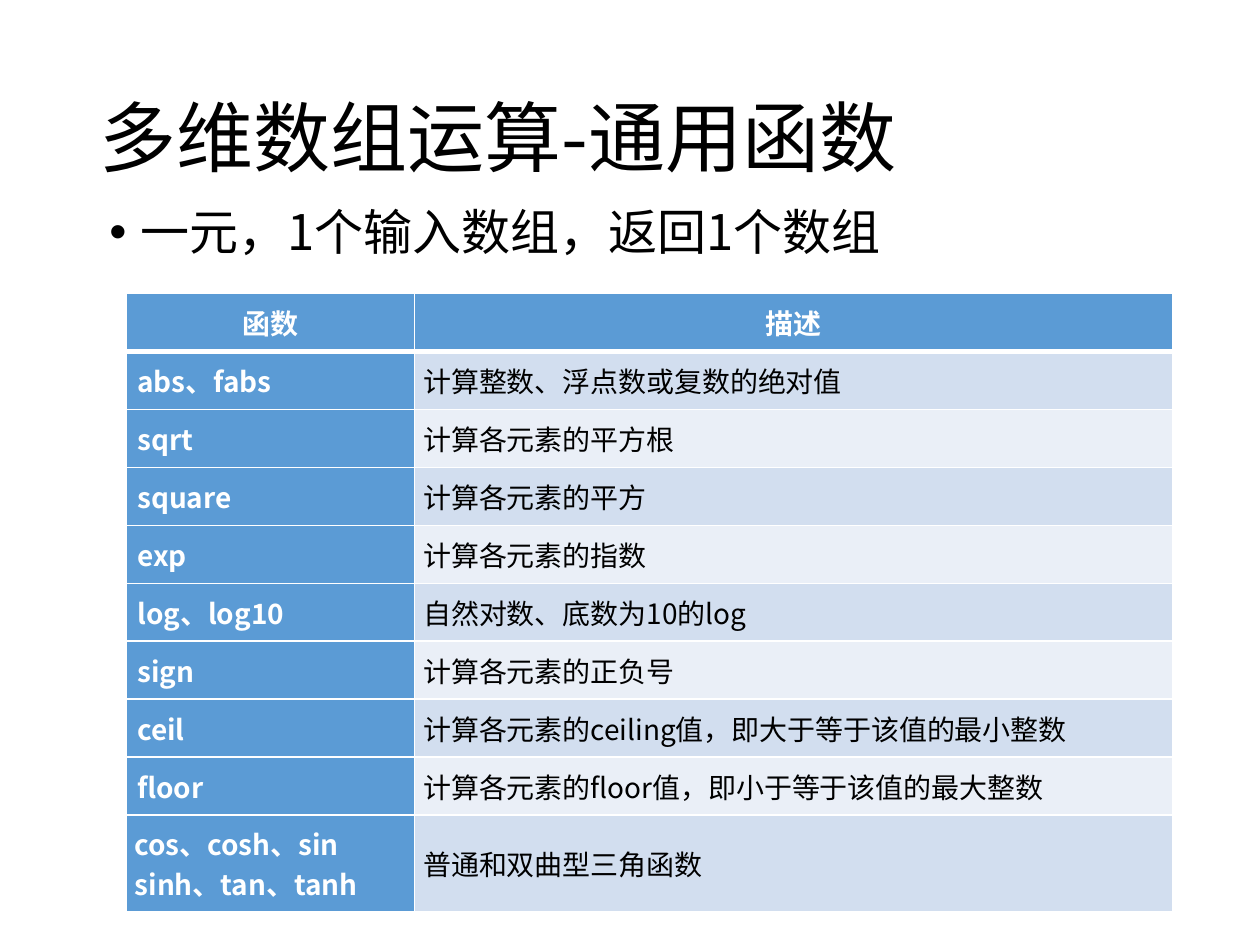
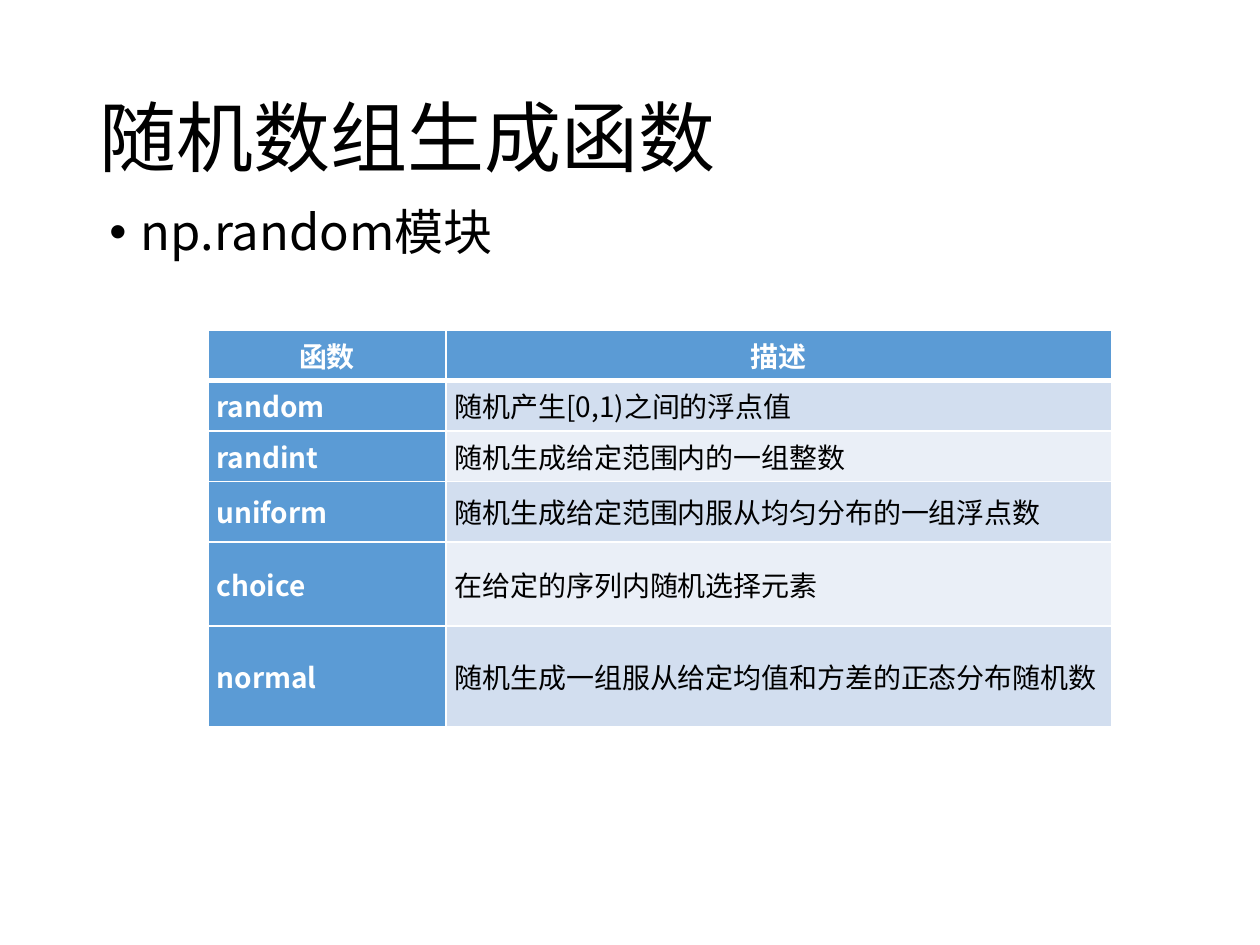
"""Build two slides that list array functions and random generators in tables."""
from dataclasses import dataclass

from lxml import etree
from pptx import Presentation
from pptx import util as u
from pptx.dml.color import RGBColor
from pptx.enum import text
from pptx.oxml import ns

EMU_PER_PX = 9144


@dataclass(frozen=True)
class Theme:
    """Colours, typeface and type sizes shared by the slides."""
    font: str = "Noto Sans CJK SC"
    ink: str = "000000"
    paper: str = "FFFFFF"
    accent: str = "5B9BD5"
    bands: tuple[str, str] = ("D2DEEF", "EAEFF7")
    title_size: int = 44
    topic_size: int = 28
    table_size: int = 16
    line_spacing: float = 0.9
    rule: int = 1
    header_rule: int = 3


@dataclass(frozen=True)
class Box:
    """A rectangle in px."""
    left: int
    top: int
    width: int
    height: int

    def emu(self) -> tuple[int, int, int, int]:
        """Return the rectangle in EMU."""
        return px(self.left), px(self.top), px(self.width), px(self.height)


@dataclass(frozen=True)
class FunctionTable:
    """A table of function names and descriptions."""
    left: int
    top: int
    columns: tuple[int, int]
    row_heights: tuple[int, ...]
    entries: tuple[tuple[str, str], ...]
    name_indent: int = 0


@dataclass(frozen=True)
class Lesson:
    """The content of one slide."""
    title: str
    topic: str
    topic_width: int
    functions: FunctionTable


THEME = Theme()
TITLE_BOX = Box(69, 40, 862, 145)
HEADINGS = ("函数", "描述")
CELL_INSET = 7
BULLET_INDENT = 25

LESSONS = (
    Lesson(
        "多维数组运算-通用函数", "一元，1个输入数组，返回1个数组", 757,
        FunctionTable(100, 233, (229, 602), (46,) * 9 + (77,), (
            ("abs、fabs", "计算整数、浮点数或复数的绝对值"),
            ("sqrt", "计算各元素的平方根"),
            ("square", "计算各元素的平方"),
            ("exp", "计算各元素的指数"),
            ("log、log10", "自然对数、底数为10的log"),
            ("sign", "计算各元素的正负号"),
            ("ceil", "计算各元素的ceiling值，即大于等于该值的最小整数"),
            ("floor", "计算各元素的floor值，即小于等于该值的最大整数"),
            ("cos、cosh、sin\nsinh、tan、tanh", "普通和双曲型三角函数"),
        ), name_indent=2)),
    Lesson(
        "随机数组生成函数", "np.random模块", 783,
        FunctionTable(165, 262, (189, 528), (40, 40, 40, 48, 67, 80), (
            ("random", "随机产生[0,1)之间的浮点值"),
            ("randint", "随机生成给定范围内的一组整数"),
            ("uniform", "随机生成给定范围内服从均匀分布的一组浮点数"),
            ("choice", "在给定的序列内随机选择元素"),
            ("normal", "随机生成一组服从给定均值和方差的正态分布随机数"),
        ))),
)


def px(length: int) -> int:
    """Convert px to EMU."""
    return length * EMU_PER_PX


def set_font(paragraph, size: int, color: str, bold: bool = False) -> None:
    """Set the paragraph font for Latin and East Asian text."""
    font = paragraph.font
    font.name = THEME.font
    font.size = u.Pt(size)
    font.bold = bold
    font.color.rgb = RGBColor.from_string(color)
    latin = paragraph._p.pPr.find(".//" + ns.qn("a:latin"))
    east_asian = etree.Element(ns.qn("a:ea"), typeface=THEME.font)
    latin.addnext(east_asian)


def add_line(slide, box: Box, wording: str, size: int, bullet: bool = False) -> None:
    """Add a one-paragraph text box, with a bullet if asked."""
    frame = slide.shapes.add_textbox(*box.emu()).text_frame
    frame.word_wrap = True
    frame.vertical_anchor = text.MSO_ANCHOR.TOP if bullet else text.MSO_ANCHOR.MIDDLE
    paragraph = frame.paragraphs[0]
    paragraph.text = wording
    paragraph.line_spacing = THEME.line_spacing
    if bullet:
        properties = paragraph._p.get_or_add_pPr()
        properties.set("marL", str(px(BULLET_INDENT)))
        properties.set("indent", str(-px(BULLET_INDENT)))
        etree.SubElement(properties, ns.qn("a:buFont"), typeface="Arial")
        etree.SubElement(properties, ns.qn("a:buChar"), char="•")
    set_font(paragraph, size, THEME.ink)


def set_borders(cell, top: int, bottom: int) -> None:
    """Rule all four sides of a cell, with widths in points."""
    properties = cell._tc.get_or_add_tcPr()
    widths = {"lnL": THEME.rule, "lnR": THEME.rule, "lnT": top, "lnB": bottom}
    for side, width in widths.items():
        line = etree.SubElement(properties, ns.qn(f"a:{side}"), w=str(u.Pt(width)))
        fill = etree.SubElement(line, ns.qn("a:solidFill"))
        etree.SubElement(fill, ns.qn("a:srgbClr"), val=THEME.paper)


def fill_cell(cell, wording: str, row: int, column: int, indent: int) -> None:
    """Write and style a heading, function name or description."""
    is_heading = row == 0
    is_label = is_heading or column == 0
    set_borders(cell,
                THEME.header_rule if row == 1 else THEME.rule,
                THEME.header_rule if is_heading else THEME.rule)
    cell.fill.solid()
    cell.fill.fore_color.rgb = RGBColor.from_string(
        THEME.accent if is_label else THEME.bands[(row - 1) % 2])
    cell.margin_left = cell.margin_right = px(CELL_INSET)
    cell.margin_top = cell.margin_bottom = 0
    cell.vertical_anchor = text.MSO_ANCHOR.MIDDLE
    cell.text = wording
    paragraphs = cell.text_frame.paragraphs
    for paragraph in paragraphs:
        if is_heading:
            paragraph.alignment = text.PP_ALIGN.CENTER
        elif is_label and indent and len(paragraphs) == 1:
            paragraph._p.get_or_add_pPr().set("indent", str(px(indent)))
        set_font(paragraph, THEME.table_size,
                 THEME.paper if is_label else THEME.ink, is_label)


def add_functions(slide, functions: FunctionTable) -> None:
    """Add the table of functions under its headings."""
    rows = (HEADINGS, *functions.entries)
    box = Box(functions.left, functions.top,
              sum(functions.columns), sum(functions.row_heights))
    table = slide.shapes.add_table(len(rows), len(HEADINGS), *box.emu()).table
    table.first_row = table.horz_banding = False
    for column, width in zip(table.columns, functions.columns):
        column.width = px(width)
    for row, height in zip(table.rows, functions.row_heights):
        row.height = px(height)
    for row, entry in enumerate(rows):
        for column, wording in enumerate(entry):
            fill_cell(table.cell(row, column), wording, row, column,
                      functions.name_indent)


def main() -> None:
    """Build and save the presentation."""
    deck = Presentation()
    deck.slide_width, deck.slide_height = px(1000), px(750)
    for lesson in LESSONS:
        slide = deck.slides.add_slide(deck.slide_layouts[6])
        add_line(slide, TITLE_BOX, lesson.title, THEME.title_size)
        add_line(slide, Box(77, 160, lesson.topic_width, 57), lesson.topic,
                 THEME.topic_size, bullet=True)
        add_functions(slide, lesson.functions)
    deck.save("out.pptx")


if __name__ == "__main__":
    main()
